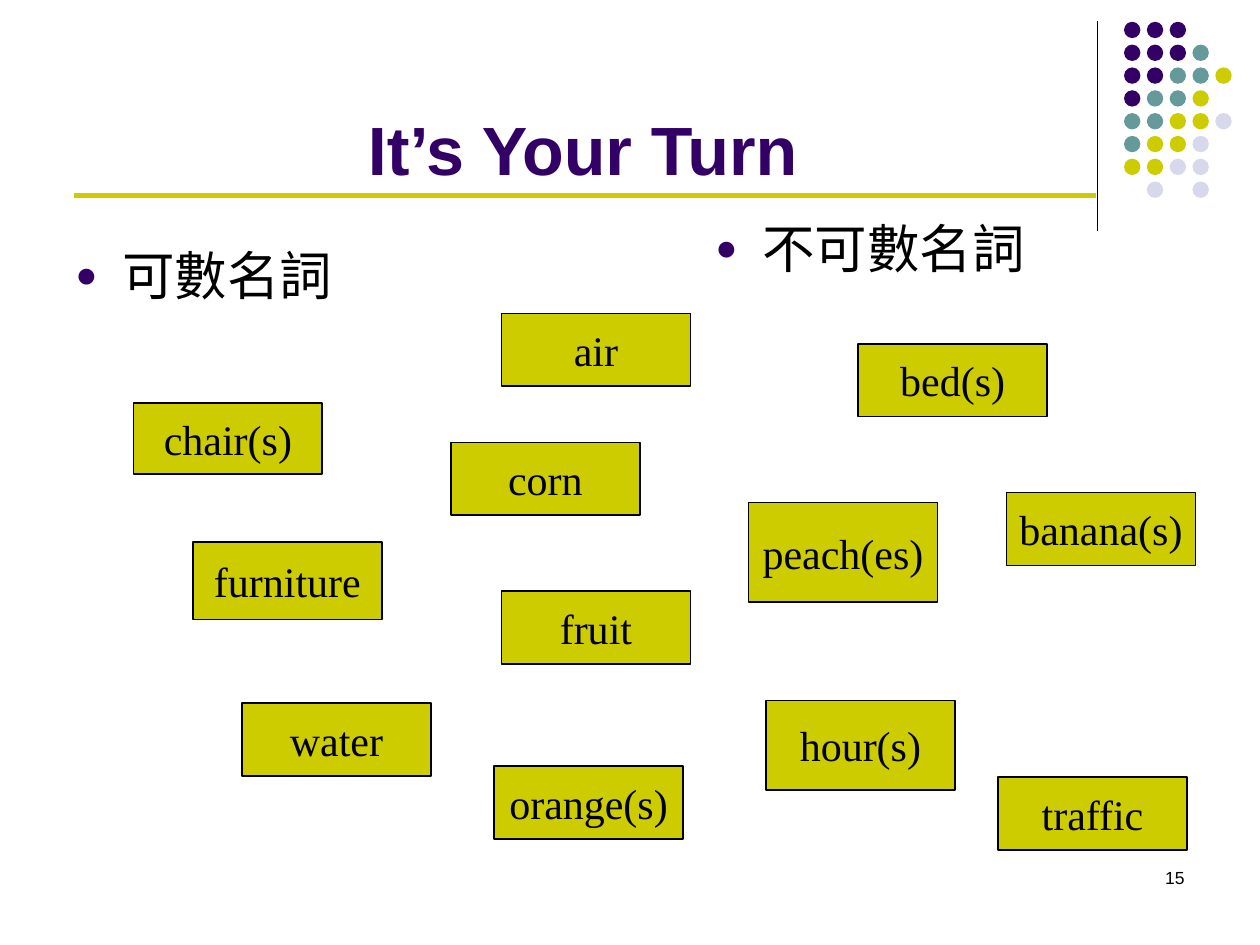
import pptx
import pptx.util
import pptx.dml.color
import pptx.enum.shapes
import pptx.enum.text
import pptx.oxml
import pptx.oxml.ns
from dataclasses import dataclass

Cm, Pt = pptx.util.Cm, pptx.util.Pt
ALIGN = pptx.enum.text.PP_ALIGN
ANCHOR = pptx.enum.text.MSO_ANCHOR
SHAPE = pptx.enum.shapes.MSO_SHAPE


@dataclass(frozen=True)
class Theme:
    purple: str = "330066"
    teal: str = "669999"
    olive: str = "CCCC00"
    pale: str = "D8D8EC"
    ink: str = "000000"
    sans: str = "Arial"
    serif: str = "Times New Roman"
    title: int = 39
    heading: int = 30
    word: int = 24
    small: int = 10


def rgb(value):
    return pptx.dml.color.RGBColor.from_string(value)


def add_bullet(p, color):
    """Hanging round bullet at 70 % of the text size."""
    pPr = p._p.get_or_add_pPr()
    pPr.set("marL", str(Cm(0.95)))
    pPr.set("indent", str(-Cm(0.95)))
    ns = pptx.oxml.ns.nsdecls("a")
    for xml in (f'<a:buClr {ns}><a:srgbClr val="{color}"/></a:buClr>',
                f'<a:buSzPct {ns} val="70000"/>',
                f'<a:buFont {ns} typeface="Arial"/>',
                f'<a:buChar {ns} char="●"/>'):
        pPr.append(pptx.oxml.parse_xml(xml))


def write(tf, text, *, size, font, color, bold=False, align=ALIGN.LEFT,
          anchor=ANCHOR.TOP, wrap=True, bullet=None):
    tf.word_wrap = wrap
    tf.vertical_anchor = anchor
    p = tf.paragraphs[0]
    p.alignment = align
    if bullet:
        add_bullet(p, bullet)
    r = p.add_run()
    r.text = text
    r.font.size, r.font.name, r.font.bold = Pt(size), font, bold
    r.font.color.rgb = rgb(color)


class Deck:
    def __init__(self, prs, theme):
        self.theme = theme
        self.s = prs.slides.add_slide(prs.slide_layouts[6])

    def shape(self, kind, x, y, w, h, fill, line=None):
        sp = self.s.shapes.add_shape(kind, Cm(x), Cm(y), Cm(w), Cm(h))
        sp.shadow.inherit = False
        sp.fill.solid()
        sp.fill.fore_color.rgb = rgb(fill)
        if line:
            sp.line.color.rgb = rgb(line)
            sp.line.width = Pt(1)
        else:
            sp.line.fill.background()
        return sp

    def dot(self, x, y, color):
        self.shape(SHAPE.OVAL, x, y, 0.33, 0.33, color)

    def card(self, text, x, y, h):
        t = self.theme
        sp = self.shape(SHAPE.RECTANGLE, x, y, 3.81, h, t.olive, t.ink)
        write(sp.text_frame, text, size=t.word, font=t.serif, color=t.ink,
              align=ALIGN.CENTER, anchor=ANCHOR.MIDDLE, wrap=False)

    def text(self, text, x, y, w, h, **style):
        box = self.s.shapes.add_textbox(Cm(x), Cm(y), Cm(w), Cm(h))
        write(box.text_frame, text, font=self.theme.sans, **style)

    def line(self, x1, y1, x2, y2, color, width):
        c = self.s.shapes.add_connector(
            pptx.enum.shapes.MSO_CONNECTOR.STRAIGHT, Cm(x1), Cm(y1), Cm(x2), Cm(y2))
        c.line.color.rgb = rgb(color)
        c.line.width = Pt(width)
        c._element.spPr.append(pptx.oxml.parse_xml(
            f'<a:effectLst {pptx.oxml.ns.nsdecls("a")}/>'))


# One letter per dot: purple, teal, olive, light
DOTS = ["PPP", "PPPT", "PPTTO", "PTTO", "TTOOL", "TOOL", "OOLL", " L L"]

# Word, left, top, height
CARDS = [
    ("chair(s)", 2.69, 8.13, 1.42),
    ("fruit", 10.11, 11.91, 1.47),
    ("corn", 9.09, 8.92, 1.47),
    ("peach(es)", 15.09, 10.13, 2.01),
    ("water", 4.88, 14.17, 1.47),
    ("orange(s)", 9.96, 15.44, 1.47),
    ("furniture", 3.89, 10.92, 1.57),
    ("banana(s)", 20.29, 9.93, 1.47),
    ("hour(s)", 15.44, 14.12, 1.8),
    ("traffic", 20.12, 15.67, 1.47),
    ("air", 10.11, 6.32, 1.47),
    ("bed(s)", 17.3, 6.93, 1.47),
]


def main():
    prs = pptx.Presentation()
    prs.slide_width, prs.slide_height = Cm(25.4), Cm(19.05)
    t = Theme()
    deck = Deck(prs, t)

    # Corner decoration
    deck.line(22.12, 0.43, 22.12, 4.65, t.ink, 0.75)
    colors = {"P": t.purple, "T": t.teal, "O": t.olive, "L": t.pale}
    for row, letters in enumerate(DOTS):
        for col, letter in enumerate(letters):
            if letter in colors:
                deck.dot(22.66 + 0.46 * col, 0.44 + 0.46 * row, colors[letter])

    # Title and rule
    deck.text("It’s Your Turn", 1.27, 0.33, 20.96, 3.61, size=t.title, bold=True,
              color=t.purple, align=ALIGN.CENTER, anchor=ANCHOR.BOTTOM)
    deck.line(1.5, 3.94, 22.1, 3.94, t.olive, 3)

    # Column headings
    for text, x, y, w, h in [("可數名詞", 1.27, 4.78, 11.2, 12.24),
                             ("不可數名詞", 14.17, 4.24, 10.59, 12.5)]:
        deck.text(text, x, y, w, h, size=t.heading, color=t.ink, bullet=t.purple)

    # Word cards
    for card in CARDS:
        deck.card(*card)

    # Page number
    deck.text("15", 18.21, 17.35, 5.92, 1.27, size=t.small, color=t.ink,
              align=ALIGN.RIGHT)

    prs.save("out.pptx")


if __name__ == "__main__":
    main()
